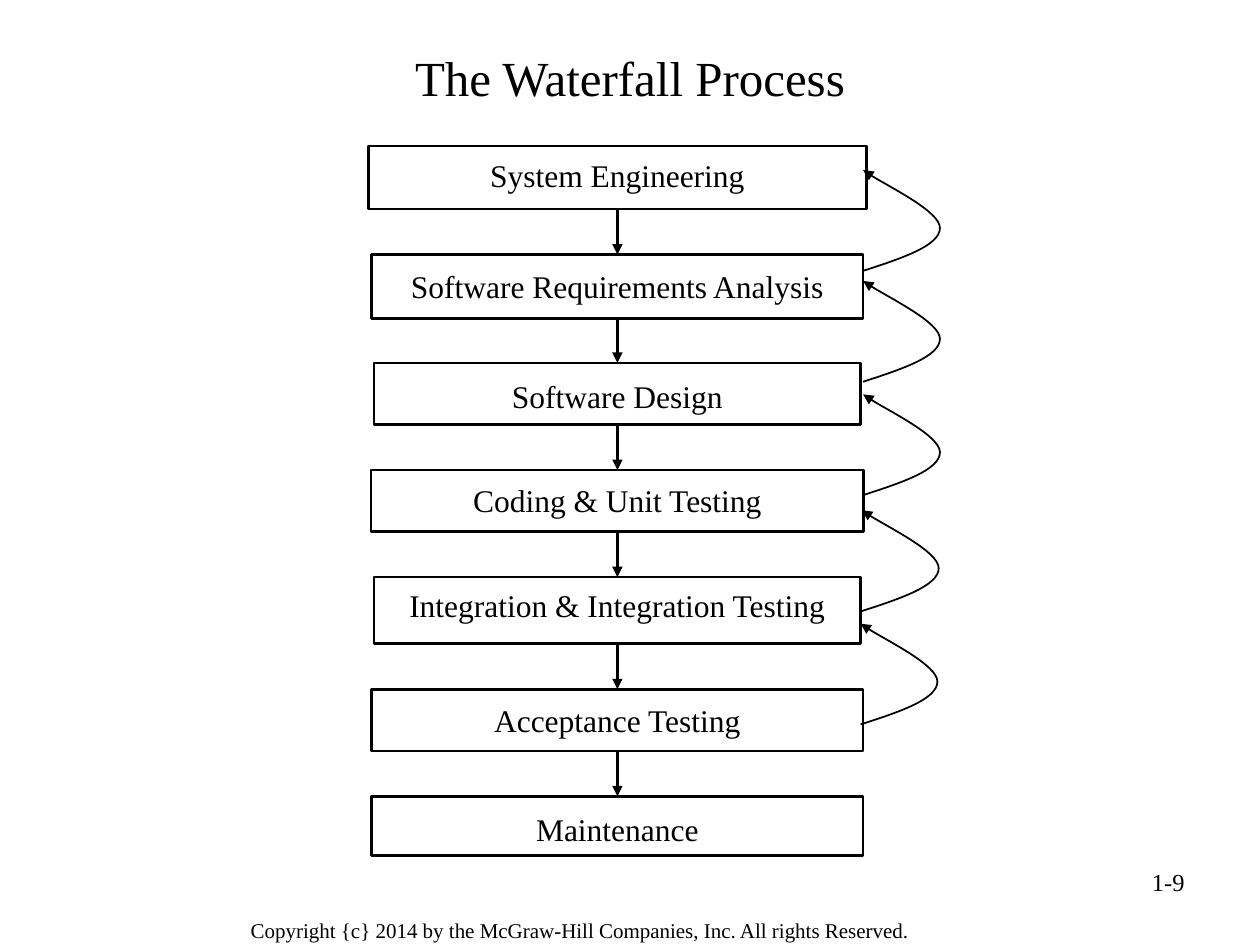
"""Build the waterfall process slide with its feedback loops."""
from itertools import pairwise

from lxml.etree import SubElement
from pptx import Presentation
from pptx.dml.color import RGBColor
from pptx.enum.shapes import MSO_CONNECTOR, MSO_SHAPE
from pptx.enum.text import MSO_ANCHOR, PP_ALIGN
from pptx.oxml.ns import qn
from pptx.util import Inches, Pt

BLACK = RGBColor(0, 0, 0)
WHITE = RGBColor(255, 255, 255)
FONT = "Times New Roman"
CENTER = 4.9

STEPS = [
    ("System Engineering", 1.16, 3.95, 0.5, 0.08),
    ("Software Requirements Analysis", 2.02, 3.9, 0.51, 0.1),
    ("Software Design", 2.88, 3.86, 0.49, 0.11),
    ("Coding & Unit Testing", 3.73, 3.91, 0.49, 0.09),
    ("Integration & Integration Testing", 4.58, 3.86, 0.53, 0.07),
    ("Acceptance Testing", 5.47, 3.9, 0.49, 0.09),
    ("Maintenance", 6.32, 3.9, 0.47, 0.11),
]
FEEDBACK_TIPS = [(6.85, 1.35), (6.85, 2.23), (6.85, 3.13), (6.84, 4.05), (6.83, 4.95)]
LOOP = [(0, 0.8), (0.31, 0.7), (0.61, 0.6), (0.61, 0.46),
        (0.61, 0.33), (0.1, 0.08), (0, 0)]


class WaterfallSlide:
    """Hold the style and the current slide."""

    def __init__(self, slide):
        self.shapes = slide.shapes

    def set_text(self, frame, text, size, align):
        frame.word_wrap = True
        paragraph = frame.paragraphs[0]
        paragraph.text = text
        paragraph.alignment = align
        paragraph.font.name = FONT
        paragraph.font.size = Pt(size)
        paragraph.font.color.rgb = BLACK

    def label(self, text, left, top, width, height, size, align,
              anchor=MSO_ANCHOR.TOP, inset=(0.1, 0.05)):
        box = self.shapes.add_textbox(
            Inches(left), Inches(top), Inches(width), Inches(height))
        frame = box.text_frame
        frame.vertical_anchor = anchor
        frame.margin_left = frame.margin_right = Inches(inset[0])
        frame.margin_top = frame.margin_bottom = Inches(inset[1])
        self.set_text(frame, text, size, align)

    def step(self, text, top, width, height, inset):
        box = self.shapes.add_shape(
            MSO_SHAPE.RECTANGLE, Inches(CENTER - width / 2), Inches(top),
            Inches(width), Inches(height))
        box.shadow.inherit = False
        box.fill.solid()
        box.fill.fore_color.rgb = WHITE
        box.line.color.rgb = BLACK
        box.line.width = Pt(1.5)
        frame = box.text_frame
        frame.vertical_anchor = MSO_ANCHOR.TOP
        frame.margin_top = Inches(inset)
        self.set_text(frame, text, 18, PP_ALIGN.CENTER)
        return box

    def arrowhead(self, line, width):
        line.color.rgb = BLACK
        line.width = Pt(width)
        SubElement(line._get_or_add_ln(), qn("a:tailEnd"), type="triangle")

    def arrow(self, upper, lower):
        connector = self.shapes.add_connector(MSO_CONNECTOR.STRAIGHT, 0, 0, 0, 0)
        connector.begin_connect(upper, 2)
        connector.end_connect(lower, 0)
        self.arrowhead(connector.line, 1.5)
        SubElement(connector._element.spPr, qn("a:effectLst"))

    def feedback(self, left, top):
        start, *controls = [(Inches(left + x), Inches(top + y)) for x, y in LOOP]
        builder = self.shapes.build_freeform(*start)
        builder.add_line_segments(controls, close=False)
        loop = builder.convert_to_shape()
        loop.shadow.inherit = False
        loop.fill.background()
        self.arrowhead(loop.line, 1)
        segments = list(loop._element.iter(qn("a:lnTo")))
        outline = segments[0].getparent()
        for first in range(0, len(segments), 3):
            curve = SubElement(outline, qn("a:cubicBezTo"))
            for segment in segments[first:first + 3]:
                curve.append(segment[0])
                outline.remove(segment)


def main():
    presentation = Presentation()
    presentation.slide_width = Inches(10)
    presentation.slide_height = Inches(7.5)
    slide = WaterfallSlide(presentation.slides.add_slide(presentation.slide_layouts[6]))

    slide.label("Copyright {c} 2014 by the McGraw-Hill Companies, Inc. All rights Reserved.",
                1.88, 7.22, 6.19, 0.31, 12, PP_ALIGN.LEFT, inset=(0.11, 0.06))
    slide.label("1-9", 7.17, 6.83, 2.33, 0.52, 14, PP_ALIGN.RIGHT)
    slide.label("The Waterfall Process", 0.5, 0.3, 9, 0.62, 28, PP_ALIGN.CENTER,
                MSO_ANCHOR.MIDDLE)

    steps = [slide.step(*step) for step in STEPS]
    for upper, lower in pairwise(steps):
        slide.arrow(upper, lower)
    for tip in FEEDBACK_TIPS:
        slide.feedback(*tip)

    presentation.save("out.pptx")


if __name__ == "__main__":
    main()
